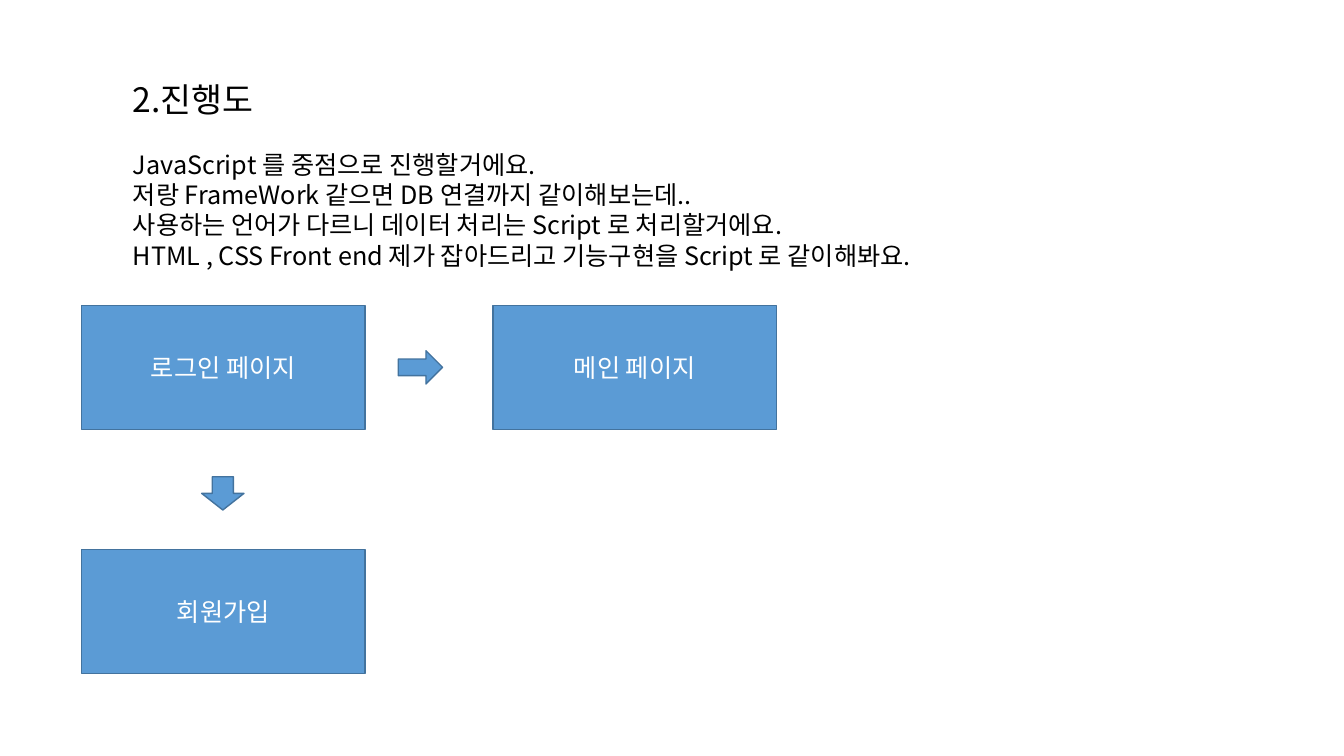
from lxml import etree
from pptx import Presentation
from pptx.dml.color import RGBColor
from pptx.enum import shapes, text
from pptx.oxml import ns
from pptx.util import Inches, Pt

# Content
FONT = "Noto Sans CJK KR"
BLACK, WHITE, BLUE, DARK_BLUE = "000000", "FFFFFF", "5B9BD5", "43739E"
HEADING = "2.진행도"
INTRO = [
    "JavaScript 를 중점으로 진행할거에요.",
    "저랑 FrameWork 같으면 DB 연결까지 같이해보는데..",
    "사용하는 언어가 다르니 데이터 처리는 Script 로 처리할거에요.",
    "HTML , CSS Front end 제가 잡아드리고 기능구현을 Script 로 같이해봐요.",
]
PAGES = [("로그인 페이지", 0, 0), ("메인 페이지", 1, 0), ("회원가입", 0, 1)]  # label, column, row
ARROWS = [
    (shapes.MSO_SHAPE.RIGHT_ARROW, 3.95, 3.48, 0.44, 0.33),
    (shapes.MSO_SHAPE.DOWN_ARROW, 2.0, 4.73, 0.42, 0.33),
]

# Page grid
LEFT, TOP = 0.81, 3.03
PAGE_W, PAGE_H = 2.81, 1.23
COLUMN_STEP, ROW_STEP = 4.08, 2.42


def color(value):
    return RGBColor.from_string(value)


def write(paragraph, words, size, ink):
    paragraph.text = words
    font = paragraph.font
    font.size, font.name = Pt(size), FONT
    font.color.rgb = color(ink)
    # Korean letters take the East Asian typeface
    properties = paragraph._p.pPr.find(ns.qn("a:defRPr"))
    etree.SubElement(properties, ns.qn("a:ea"), typeface=FONT)


def add_blue(kind, *box):
    shape = slide.shapes.add_shape(kind, *map(Inches, box))
    shape.shadow.inherit = False
    shape.fill.solid()
    shape.fill.fore_color.rgb = color(BLUE)
    shape.line.color.rgb = color(DARK_BLUE)
    shape.line.width = Pt(1)
    return shape


prs = Presentation()
prs.slide_width, prs.slide_height = Inches(13.33), Inches(7.5)
slide = prs.slides.add_slide(prs.slide_layouts[6])

# Heading and introduction
intro = slide.shapes.add_textbox(*map(Inches, (1.22, 0.73, 10.88, 2.02))).text_frame
intro.word_wrap = True
write(intro.paragraphs[0], HEADING, 24, BLACK)
intro.paragraphs[0].space_after = Pt(21.6)
for line in INTRO:
    write(intro.add_paragraph(), line, 18, BLACK)

# Pages
for label, column, row in PAGES:
    page = add_blue(shapes.MSO_SHAPE.RECTANGLE, LEFT + column * COLUMN_STEP,
                    TOP + row * ROW_STEP, PAGE_W, PAGE_H).text_frame
    page.vertical_anchor = text.MSO_ANCHOR.MIDDLE
    write(page.paragraphs[0], label, 18, WHITE)
    page.paragraphs[0].alignment = text.PP_ALIGN.CENTER

# Arrows between pages
for arrow in ARROWS:
    add_blue(*arrow)

prs.save("out.pptx")
